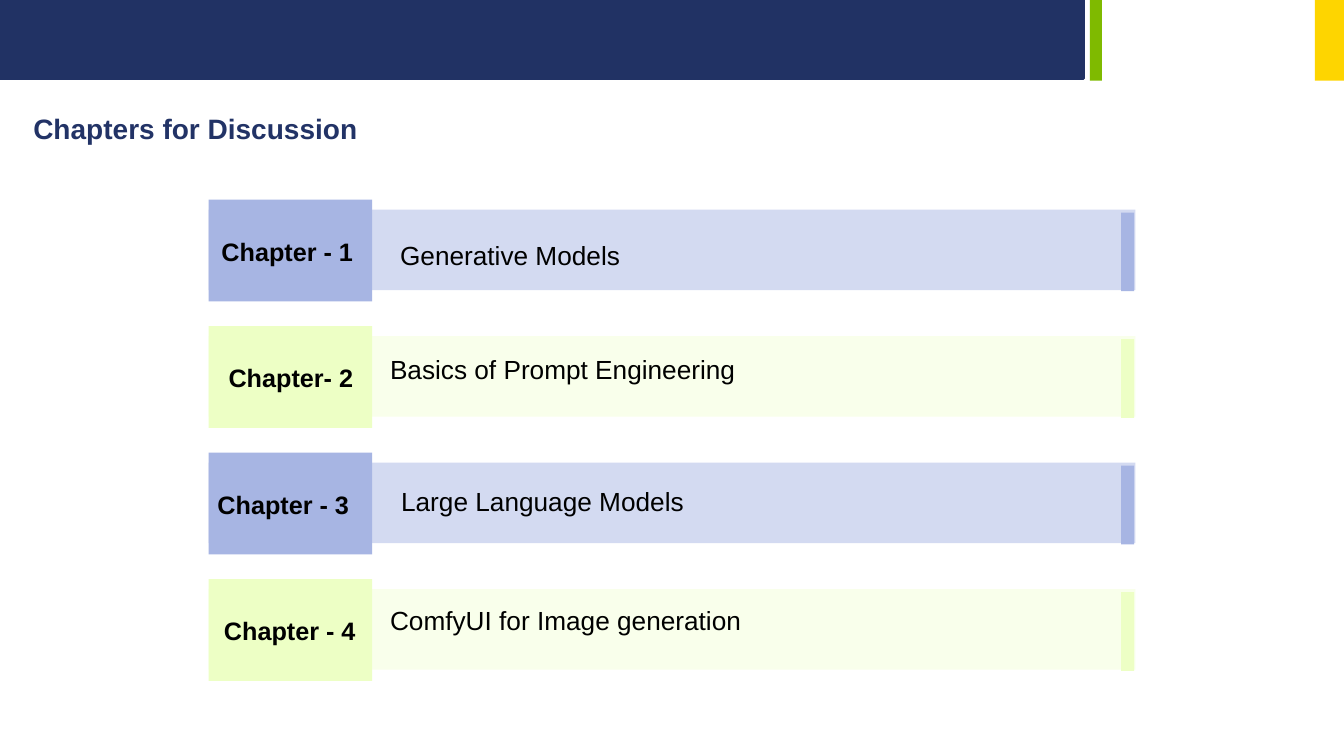
from dataclasses import dataclass

from pptx import Presentation
from pptx.dml.color import RGBColor
from pptx.enum.shapes import MSO_SHAPE
from pptx.enum.text import MSO_ANCHOR, MSO_AUTO_SIZE, PP_ALIGN
from pptx.util import Inches, Pt

# Content
TITLE = "Chapters for Discussion"
# label, label left, label width, topic, topic left, topic top
CHAPTERS = [
    ("Chapter - 1", 2.0, 1.7, "Generative Models", 3.87, 2.32),
    ("Chapter- 2", 2.08, 1.61, "Basics of Prompt Engineering", 3.77, 3.46),
    ("Chapter - 3", 2.0, 1.62, "Large Language Models", 3.88, 4.77),
    ("Chapter - 4", 2.06, 1.63, "ComfyUI for Image generation", 3.77, 5.95),
]


@dataclass(frozen=True)
class Theme:
    font: str = "Arial"
    navy: str = "213264"
    green: str = "7FBA00"
    yellow: str = "FED500"
    title: str = "223366"
    text: str = "000000"
    rows: tuple = (("D3DAF1", "A7B5E3"), ("F9FFEB", "EDFFC5"))  # bar, accent
    title_size: float = 20
    label_size: float = 18
    topic_size: float = 18.7


THEME = Theme()
ROW_TOP, ROW_PITCH = 1.98, 1.255
ROW_LEFT = 2.07
WIDE_INSETS = (0.13, 0.07)
NORMAL_INSETS = (0.1, 0.05)


def add_block(shapes, left, top, width, height, color):
    sp = shapes.add_shape(MSO_SHAPE.RECTANGLE, Inches(left), Inches(top),
                          Inches(width), Inches(height))
    sp.shadow.inherit = False
    sp.fill.solid()
    sp.fill.fore_color.rgb = RGBColor.from_string(color)
    sp.line.fill.background()
    return sp


def write(sp, text, size, color, insets, bold=False, align=PP_ALIGN.LEFT):
    tf = sp.text_frame
    tf.text = text
    tf.word_wrap = True
    tf.auto_size = MSO_AUTO_SIZE.SHAPE_TO_FIT_TEXT
    tf.vertical_anchor = MSO_ANCHOR.TOP
    tf.margin_left = tf.margin_right = Inches(insets[0])
    tf.margin_top = tf.margin_bottom = Inches(insets[1])
    p = tf.paragraphs[0]
    p.alignment = align
    font = p.runs[0].font
    font.name, font.size, font.bold = THEME.font, Pt(size), bold
    font.color.rgb = RGBColor.from_string(color)


def add_text(shapes, left, top, width, height, *args, **kwargs):
    sp = shapes.add_textbox(Inches(left), Inches(top), Inches(width), Inches(height))
    write(sp, *args, **kwargs)


def add_header(slide):
    band = add_block(slide.shapes, 0, 0, 10.75, 0.78, THEME.navy)
    band.line.color.rgb = RGBColor.from_string(THEME.navy)
    band.line.width = Pt(2)
    add_block(slide.shapes, 10.81, 0, 0.12, 0.8, THEME.green)
    add_block(slide.shapes, 13.04, 0, 0.29, 0.8, THEME.yellow)


def add_title(slide):
    sp = slide.shapes.title
    sp.left, sp.top = Inches(0.2), Inches(1.04)
    sp.width, sp.height = Inches(4.83), Inches(0.47)
    write(sp, TITLE, THEME.title_size, THEME.title, WIDE_INSETS, bold=True)


def add_chapter_row(slide, index, label, label_left, label_width):
    top = ROW_TOP + index * ROW_PITCH
    bar, accent = THEME.rows[index % len(THEME.rows)]
    shapes = slide.shapes.add_group_shape().shapes
    add_block(shapes, ROW_LEFT, top + 0.1, 9.19, 0.8, bar)
    add_block(shapes, ROW_LEFT, top, 1.62, 1.01, accent)
    add_text(shapes, label_left, top + 0.29, label_width, 0.44, label,
             THEME.label_size, THEME.text, WIDE_INSETS, bold=True,
             align=PP_ALIGN.CENTER)
    add_block(shapes, 11.12, top + 0.13, 0.13, 0.78, accent)


def main():
    prs = Presentation()
    prs.slide_width, prs.slide_height = Inches(13.33), Inches(7.5)
    slide = prs.slides.add_slide(prs.slide_layouts[5])

    # Header band and title
    add_header(slide)
    add_title(slide)

    # Chapter rows
    for i, (label, label_left, label_width, *_) in enumerate(CHAPTERS):
        add_chapter_row(slide, i, label, label_left, label_width)

    # Topics over the rows
    for *_, topic, left, top in CHAPTERS:
        add_text(slide.shapes, left, top, 6.67, 0.42, topic,
                 THEME.topic_size, THEME.text, NORMAL_INSETS)

    prs.save("out.pptx")


if __name__ == "__main__":
    main()
